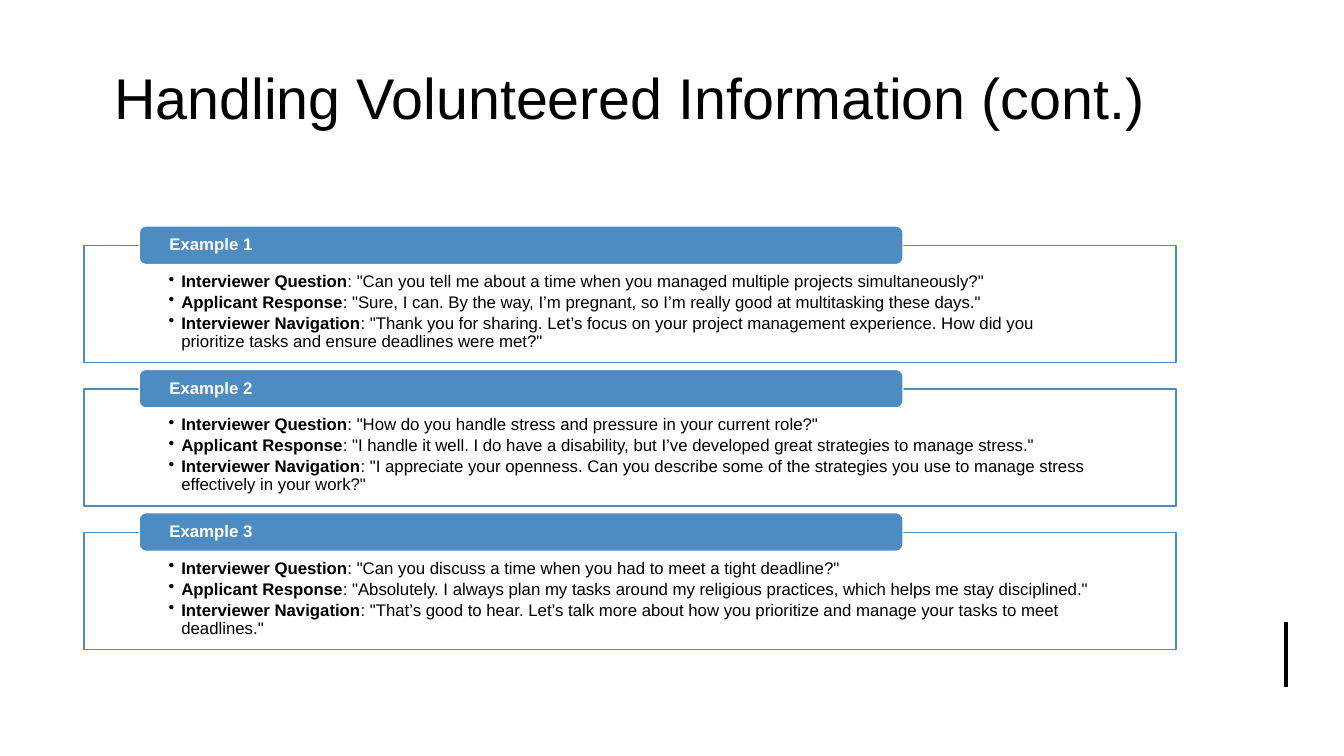
from dataclasses import dataclass

from lxml import etree
from pptx import Presentation
from pptx.dml.color import RGBColor
from pptx.enum import shapes, text
from pptx.oxml import ns
from pptx.util import Pt


@dataclass(frozen=True)
class Theme:
    font: str = "Arial"
    ink: RGBColor = RGBColor(0, 0, 0)
    paper: RGBColor = RGBColor(255, 255, 255)
    accent: RGBColor = RGBColor(0x4D, 0x8B, 0xC3)
    title_size: float = 41
    text_size: float = 12


@dataclass(frozen=True)
class Example:
    question: str
    response: str
    navigation: str

    def lines(self) -> list[tuple[str, str]]:
        return [
            ("Interviewer Question", self.question),
            ("Applicant Response", self.response),
            ("Interviewer Navigation", self.navigation),
        ]


THEME = Theme()
FRAME_LEFT, FRAME_TOP, FRAME_WIDTH, FRAME_HEIGHT = 60, 175.5, 780, 83.5
FRAME_PITCH = 102.4
TAB_LEFT, TAB_RISE, TAB_WIDTH, TAB_HEIGHT = 99.5, 14, 545.5, 27.5
BULLET_INDENT = 9

EXAMPLES = [
    Example(
        "Can you tell me about a time when you managed multiple projects simultaneously?",
        "Sure, I can. By the way, I’m pregnant, so I’m really good at multitasking these days.",
        "Thank you for sharing. Let’s focus on your project management experience. "
        "How did you prioritize tasks and ensure deadlines were met?",
    ),
    Example(
        "How do you handle stress and pressure in your current role?",
        "I handle it well. I do have a disability, but I’ve developed great strategies to manage stress.",
        "I appreciate your openness. Can you describe some of the strategies you use "
        "to manage stress effectively in your work?",
    ),
    Example(
        "Can you discuss a time when you had to meet a tight deadline?",
        "Absolutely. I always plan my tasks around my religious practices, which helps me stay disciplined.",
        "That’s good to hear. Let’s talk more about how you prioritize and manage your tasks to meet deadlines.",
    ),
]


def style_font(font, size: float, color: RGBColor) -> None:
    font.name = THEME.font
    font.size = Pt(size)
    font.color.rgb = color


def add_panel(page, kind, left: float, top: float, width: float, height: float,
              fill: RGBColor, line: RGBColor):
    panel = page.shapes.add_shape(kind, Pt(left), Pt(top), Pt(width), Pt(height))
    panel.shadow.inherit = False
    panel.fill.solid()
    panel.fill.fore_color.rgb = fill
    panel.line.color.rgb = line
    panel.line.width = Pt(1)
    panel.text_frame.word_wrap = True
    return panel


def set_insets(frame, side: float, top: float, bottom: float) -> None:
    frame.margin_left = frame.margin_right = Pt(side)
    frame.margin_top, frame.margin_bottom = Pt(top), Pt(bottom)


def add_bullet(para) -> None:
    properties = para._p.get_or_add_pPr()
    properties.set("marL", str(Pt(BULLET_INDENT)))
    properties.set("indent", str(-Pt(BULLET_INDENT)))
    etree.SubElement(properties, ns.qn("a:buChar")).set("char", "•")


def add_example(page, number: int, example: Example) -> None:
    top = FRAME_TOP + (number - 1) * FRAME_PITCH
    box = add_panel(page, shapes.MSO_SHAPE.RECTANGLE, FRAME_LEFT, top,
                    FRAME_WIDTH, FRAME_HEIGHT, THEME.paper, THEME.accent)
    frame = box.text_frame
    frame.vertical_anchor = text.MSO_ANCHOR.TOP
    set_insets(frame, 60.5, 19.5, 6.5)
    for index, (label, quote) in enumerate(example.lines()):
        para = frame.add_paragraph() if index else frame.paragraphs[0]
        para.alignment = text.PP_ALIGN.LEFT
        para.line_spacing = 0.9
        para.space_after = Pt(2)
        add_bullet(para)
        style_font(para.font, THEME.text_size, THEME.ink)
        for words, bold in ((label, True), (f': "{quote}"', False)):
            span = para.add_run()
            span.text = words
            style_font(span.font, THEME.text_size, THEME.ink)
            span.font.bold = bold

    tab = add_panel(page, shapes.MSO_SHAPE.ROUNDED_RECTANGLE, TAB_LEFT, top - TAB_RISE,
                    TAB_WIDTH, TAB_HEIGHT, THEME.accent, THEME.paper)
    tab.text_frame.vertical_anchor = text.MSO_ANCHOR.MIDDLE
    set_insets(tab.text_frame, 20.2, 0, 0)
    para = tab.text_frame.paragraphs[0]
    para.text = f"Example {number}"
    para.alignment = text.PP_ALIGN.LEFT
    para.line_spacing = 0.9
    style_font(para.font, THEME.text_size, THEME.paper)
    para.font.bold = True
    # The shape style colours its text, so the heading run states its own font.
    style_font(para.runs[0].font, THEME.text_size, THEME.paper)


def set_title(page, words: str) -> None:
    title = page.shapes.title
    title.left, title.top, title.width, title.height = Pt(60), Pt(23), Pt(780), Pt(91.5)
    frame = title.text_frame
    frame.text = words
    frame.word_wrap = True
    frame.auto_size = text.MSO_AUTO_SIZE.NONE
    frame.vertical_anchor = text.MSO_ANCHOR.MIDDLE
    para = frame.paragraphs[0]
    para.alignment = text.PP_ALIGN.CENTER
    style_font(para.font, THEME.title_size, THEME.ink)


def add_corner_rule(page) -> None:
    rule = page.shapes.add_connector(shapes.MSO_CONNECTOR.STRAIGHT,
                                     Pt(918.5), Pt(444), Pt(918.5), Pt(491))
    rule.line.color.rgb = THEME.ink
    rule.line.width = Pt(3)
    etree.SubElement(rule._element.spPr, ns.qn("a:effectLst"))


def main() -> None:
    deck = Presentation()
    deck.slide_width, deck.slide_height = Pt(960), Pt(540)
    page = deck.slides.add_slide(deck.slide_layouts.get_by_name("Title Only"))
    set_title(page, "Handling Volunteered Information (cont.)")
    add_corner_rule(page)
    for number, example in enumerate(EXAMPLES, start=1):
        add_example(page, number, example)
    deck.save("out.pptx")


if __name__ == "__main__":
    main()
